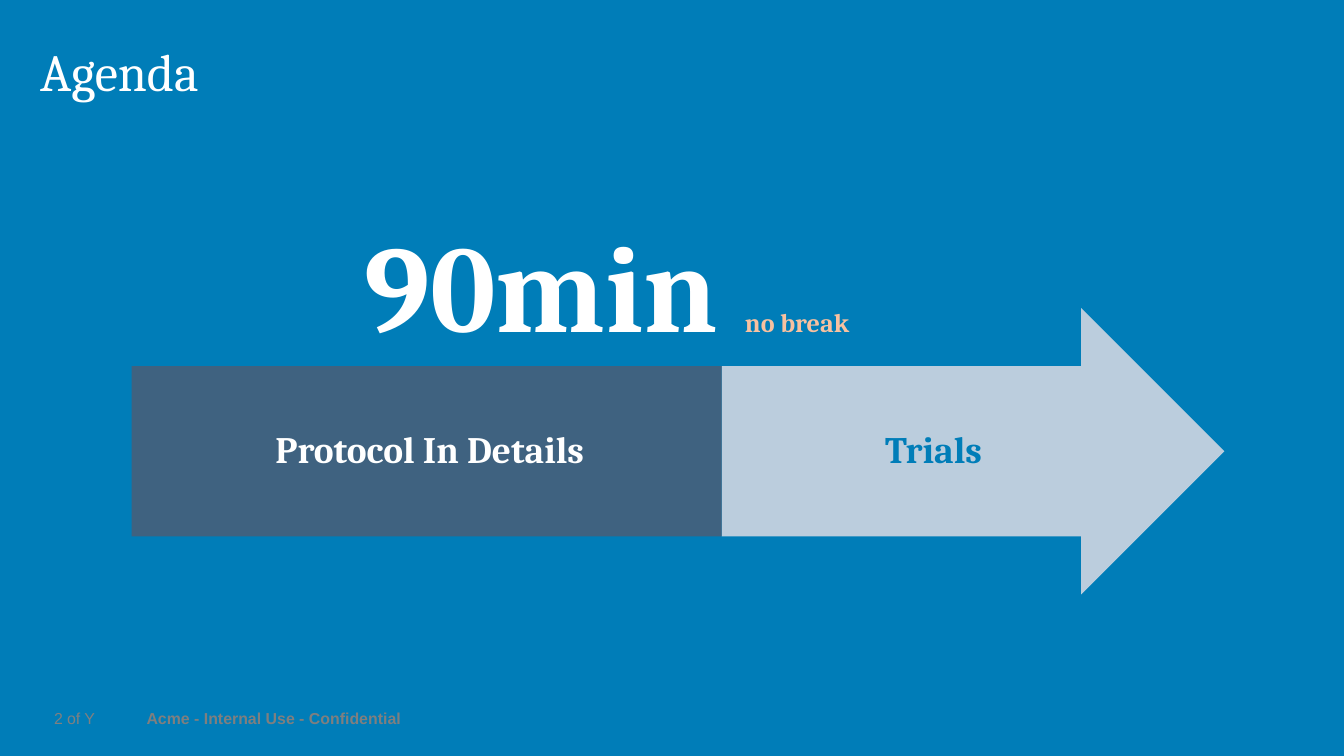
from pptx import Presentation
from pptx.dml.color import RGBColor
from pptx.enum import shapes, text
from pptx.util import Cm, Pt

BLUE, WHITE, GREY = "007DB8", "FFFFFF", "808080"
LEFT, SPLIT, MIDDLE, BAR = 2.49, 13.64, 8.53, 3.22
HEAD = 5.41


def rgb(value):
    return RGBColor.from_string(value)


class Deck:
    """Hold the presentation style and the slide being filled."""

    serif, sans = "Cambria", "Arial"

    def __init__(self, width, height):
        self.prs = Presentation()
        self.prs.slide_width, self.prs.slide_height = Cm(width), Cm(height)

    def add_slide(self, background):
        self.s = self.prs.slides.add_slide(self.prs.slide_layouts[5])
        fill = self.s.background.fill
        fill.solid()
        fill.fore_color.rgb = rgb(background)

    def style(self, font, size, color, name=None, bold=False):
        font.name, font.size, font.bold = name or self.serif, Pt(size), bold
        font.color.rgb = rgb(color)

    def frame(self, tf, margins, anchor, wrap=True):
        tf.margin_left, tf.margin_top, tf.margin_right, tf.margin_bottom = map(Cm, margins)
        tf.vertical_anchor, tf.word_wrap = anchor, wrap
        tf.auto_size = text.MSO_AUTO_SIZE.NONE

    def title(self, words, left, top, width, height):
        sp = self.s.shapes.title
        sp.left, sp.top, sp.width, sp.height = map(Cm, (left, top, width, height))
        sp.text_frame.text = words
        self.frame(sp.text_frame, (0, 0.13, 0, 0.13), text.MSO_ANCHOR.TOP)
        p = sp.text_frame.paragraphs[0]
        p.alignment, p.line_spacing = text.PP_ALIGN.LEFT, 0.9
        self.style(p.font, 28, WHITE)

    def block(self, kind, words, box, fill, color):
        sp = self.s.shapes.add_shape(kind, *map(Cm, box))
        sp.shadow.inherit = False
        sp.fill.solid()
        sp.fill.fore_color.rgb = rgb(fill)
        sp.line.fill.background()
        tf = sp.text_frame
        self.frame(tf, (0.5, 0.38, 0.38, 0.38), text.MSO_ANCHOR.MIDDLE)
        p = tf.paragraphs[0]
        p.text, p.alignment = words, text.PP_ALIGN.CENTER
        p.line_spacing, p.space_before = 0.9, Pt(6)
        self.style(p.font, 20, color, bold=True)
        return sp

    def caption(self, parts, left, top, width, height):
        tf = self.s.shapes.add_textbox(*map(Cm, (left, top, width, height))).text_frame
        tf.word_wrap = True
        p = tf.paragraphs[0]
        p.alignment = text.PP_ALIGN.CENTER
        for words, size, color in parts:
            r = p.add_run()
            r.text = words
            self.style(r.font, size, color, bold=True)

    def footer(self, words, left, width, color=GREY, bold=False, align=text.PP_ALIGN.LEFT):
        tf = self.s.shapes.add_textbox(Cm(left), Cm(13.43), Cm(width), Cm(0.33)).text_frame
        self.frame(tf, (0, 0, 0, 0), text.MSO_ANCHOR.MIDDLE, wrap=False)
        p = tf.paragraphs[0]
        p.text, p.alignment, p.line_spacing = words, align, 0.9
        self.style(p.font, 8.5, color, self.sans, bold)


def main():
    deck = Deck(25.4, 14.29)
    deck.add_slide(BLUE)
    deck.footer("Acme - Internal Use - Confidential", 2.77, 4.57, "7F7F7F", bold=True)
    deck.footer("2", 0.81, 0.38, align=text.PP_ALIGN.RIGHT)
    deck.footer("of Y", 1.27, 0.53)
    deck.title("Agenda", 0.76, 0.74, 22.1, 1.78)
    arrow = deck.block(shapes.MSO_SHAPE.RIGHT_ARROW, "Trials",
                       (SPLIT, MIDDLE - HEAD / 2, 9.5, HEAD), "BBCDDD", BLUE)
    arrow.adjustments[0] = BAR / HEAD
    deck.block(shapes.MSO_SHAPE.RECTANGLE, "Protocol In Details",
               (LEFT, MIDDLE - BAR / 2, SPLIT - LEFT, BAR), "3F6280", WHITE)
    deck.caption([("90min ", 66, WHITE), ("no break", 14, "F8C1A0")], 3.76, 3.84, 15.42, 3.07)
    deck.prs.save("out.pptx")


if __name__ == "__main__":
    main()
